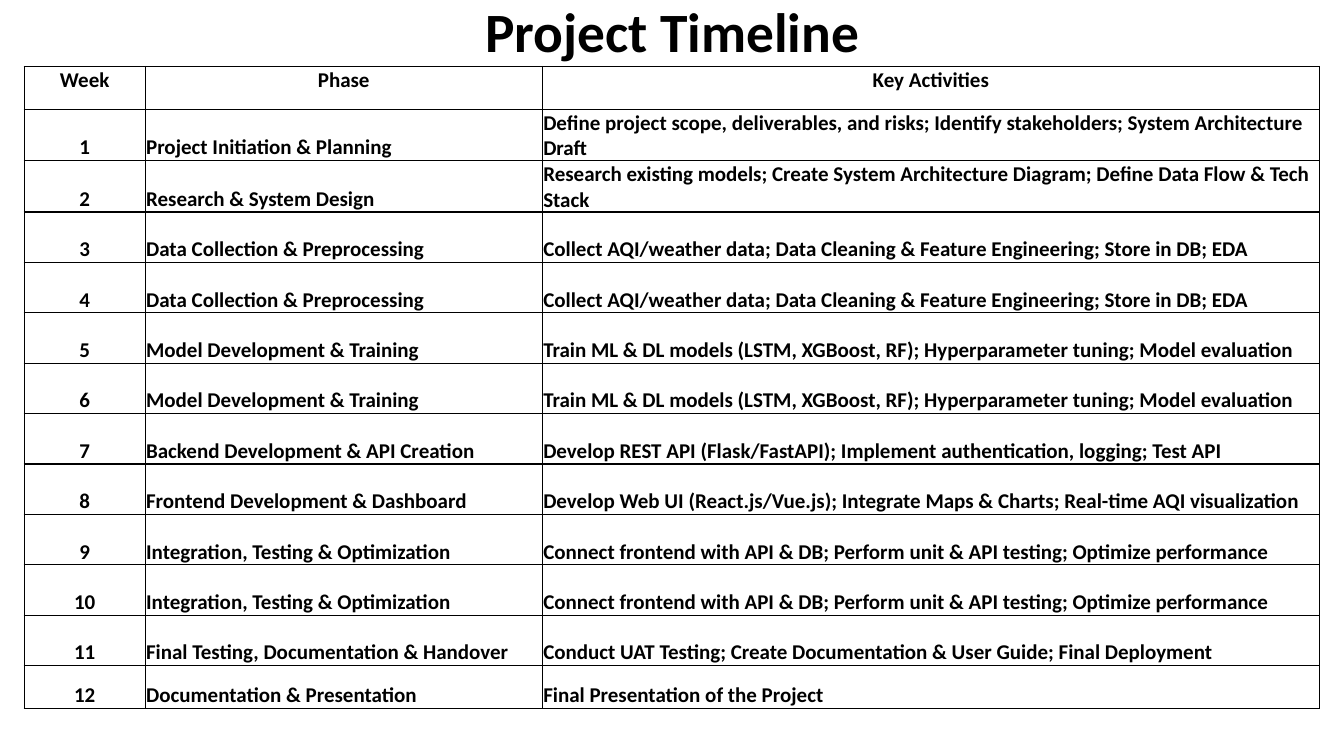
from dataclasses import dataclass

from lxml import etree
from pptx import Presentation
from pptx.dml.color import RGBColor
from pptx.enum import text
from pptx.oxml import ns
from pptx.util import Pt


@dataclass(frozen=True)
class Theme:
    """Colours, font and type sizes of the slide."""
    font: str = "Calibri"
    ink: str = "000000"
    title_size: float = 39.6
    table_size: float = 15
    border: float = 1


THEME = Theme()
HEADINGS = ("Week", "Phase", "Key Activities")
PHASES = [
    (1, "Project Initiation & Planning",
     "Define project scope, deliverables, and risks; Identify stakeholders; System Architecture Draft"),
    (1, "Research & System Design",
     "Research existing models; Create System Architecture Diagram; Define Data Flow & Tech Stack"),
    (2, "Data Collection & Preprocessing",
     "Collect AQI/weather data; Data Cleaning & Feature Engineering; Store in DB; EDA"),
    (2, "Model Development & Training",
     "Train ML & DL models (LSTM, XGBoost, RF); Hyperparameter tuning; Model evaluation"),
    (1, "Backend Development & API Creation",
     "Develop REST API (Flask/FastAPI); Implement authentication, logging; Test API"),
    (1, "Frontend Development & Dashboard",
     "Develop Web UI (React.js/Vue.js); Integrate Maps & Charts; Real-time AQI visualization"),
    (2, "Integration, Testing & Optimization",
     "Connect frontend with API & DB; Perform unit & API testing; Optimize performance"),
    (1, "Final Testing, Documentation & Handover",
     "Conduct UAT Testing; Create Documentation & User Guide; Final Deployment"),
    (1, "Documentation & Presentation", "Final Presentation of the Project"),
]
COLUMN_WIDTHS = (86.4, 283.7, 555.1)
EDGE_ROW, WEEK_ROW = 30.5, 36


def style_paragraph(p, size, align):
    """Set the font and alignment of a paragraph."""
    p.alignment = align
    p.font.name = THEME.font
    p.font.size = Pt(size)
    p.font.bold = True
    p.font.color.rgb = RGBColor.from_string(THEME.ink)


def add_title(s, words, left, top, width, height):
    """Add the centred slide title."""
    tf = s.shapes.add_textbox(Pt(left), Pt(top), Pt(width), Pt(height)).text_frame
    tf.word_wrap = True
    tf.vertical_anchor = text.MSO_ANCHOR.MIDDLE
    p = tf.paragraphs[0]
    p.text = words
    p.line_spacing = 0.9
    style_paragraph(p, THEME.title_size, text.PP_ALIGN.CENTER)


def set_borders(cell):
    """Draw a solid line on all four sides of a cell."""
    tc_pr = cell._tc.get_or_add_tcPr()
    for i, side in enumerate(("lnL", "lnR", "lnT", "lnB")):
        ln = etree.Element(ns.qn(f"a:{side}"), w=str(Pt(THEME.border)))
        fill = etree.SubElement(ln, ns.qn("a:solidFill"))
        etree.SubElement(fill, ns.qn("a:srgbClr"), val=THEME.ink)
        tc_pr.insert(i, ln)


def fill_cell(cell, words, align, anchor):
    """Write and style one table cell."""
    cell.margin_left = cell.margin_right = cell.margin_top = Pt(0.7)
    cell.margin_bottom = Pt(0)
    cell.vertical_anchor = anchor
    cell.fill.background()
    set_borders(cell)
    p = cell.text_frame.paragraphs[0]
    p.text = words
    style_paragraph(p, THEME.table_size, align)


def add_timeline(s, rows, left, top):
    """Add the timeline table with a heading row and one row per week."""
    heights = [EDGE_ROW] + [WEEK_ROW] * (len(rows) - 2) + [EDGE_ROW]
    table = s.shapes.add_table(len(rows), len(COLUMN_WIDTHS), Pt(left), Pt(top),
                               Pt(sum(COLUMN_WIDTHS)), Pt(sum(heights))).table
    table.first_row = table.horz_banding = False
    for column, width in zip(table.columns, COLUMN_WIDTHS):
        column.width = Pt(width)
    for i, (row, height) in enumerate(zip(rows, heights)):
        table.rows[i].height = Pt(height)
        anchor = text.MSO_ANCHOR.BOTTOM if i else text.MSO_ANCHOR.TOP
        for j, words in enumerate(row):
            align = text.PP_ALIGN.LEFT if i and j else text.PP_ALIGN.CENTER
            fill_cell(table.cell(i, j), words, align, anchor)


def main():
    """Build the project timeline slide."""
    prs = Presentation()
    prs.slide_width, prs.slide_height = Pt(960), Pt(540)
    s = prs.slides.add_slide(prs.slide_layouts[6])
    add_title(s, "Project Timeline", 209.5, 0, 541.4, 49)
    weeks = [phase[1:] for phase in PHASES for _ in range(phase[0])]
    rows = [HEADINGS] + [(str(n), *week) for n, week in enumerate(weeks, 1)]
    add_timeline(s, rows, 17.3, 47.5)
    prs.save("out.pptx")


if __name__ == "__main__":
    main()
